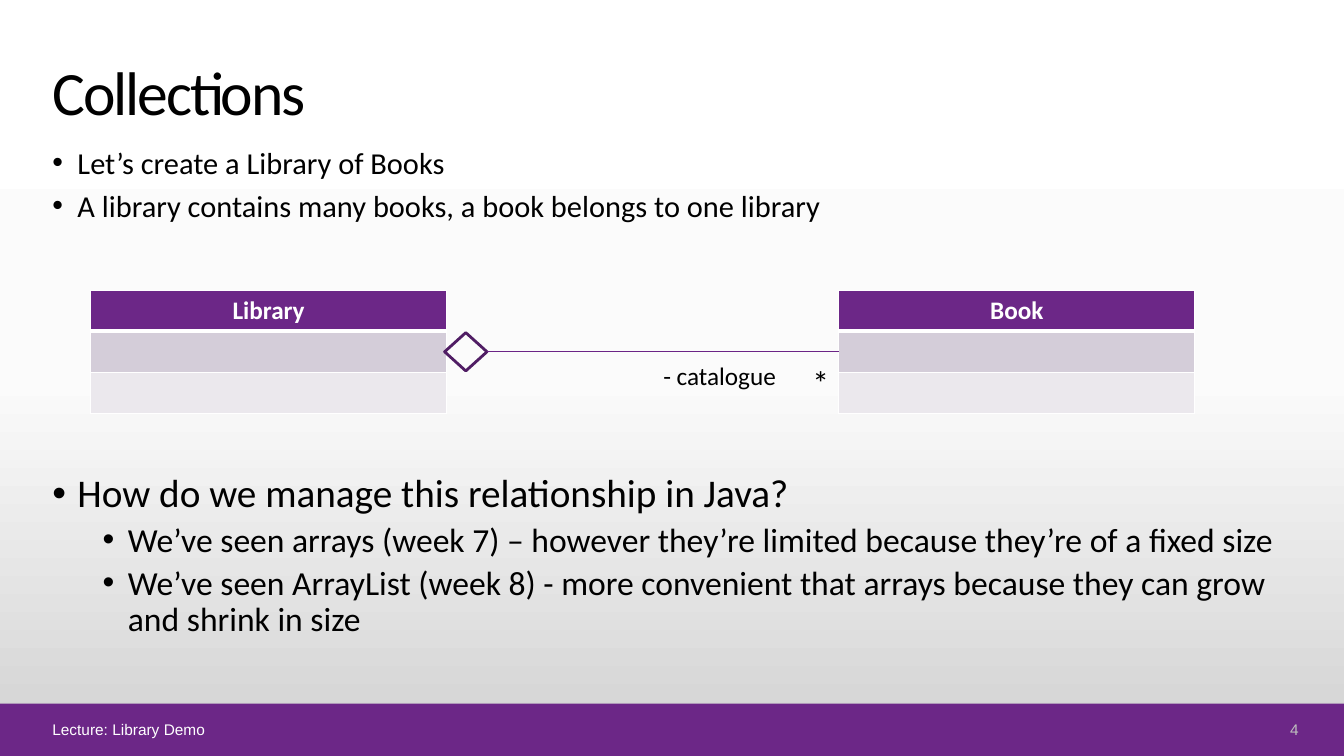
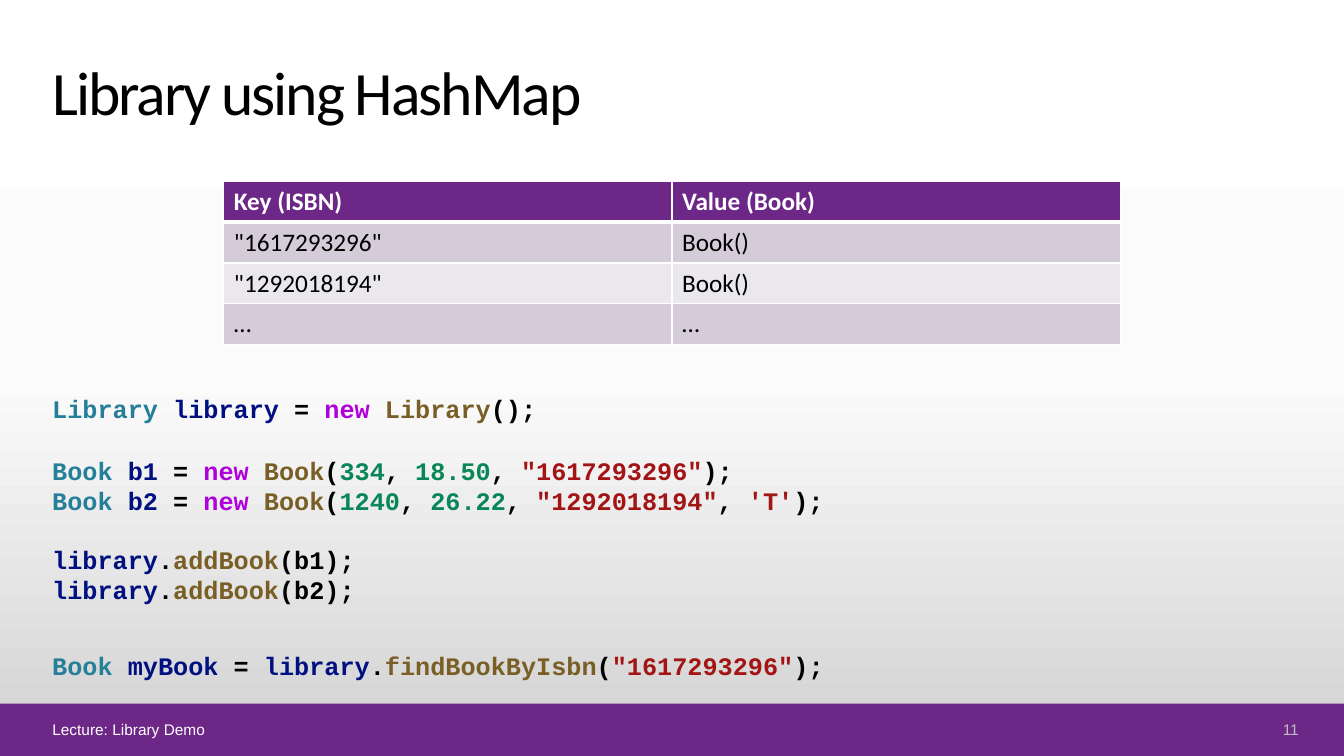
from copy import deepcopy
from dataclasses import dataclass
from typing import NamedTuple

from pptx import Presentation
from pptx import util as u
from pptx.dml.color import RGBColor
from pptx.enum import shapes, text
from pptx.oxml import ns, xmlchemy

# Shared look
PURPLE, DARK, LINE = "6C2787", "501D64", "6B2486"
BLACK, WHITE, GREY = "000000", "FFFFFF", "BFBFBF"
BANDS = ("D4CDD9", "EBE8ED")
FADE = ((0, "FFFFFF"), (0.5, "FBFBFB"), (1, "D1D1D1"))
SANS, FOOT, MONO = "Calibri", "Arial", "Courier New"
LEFT, WIDE = 0.42, 12.55

# Code colours
TYPE, VAR, NEW, CALL = "267F99", "001080", "AF00DB", "795E26"
NUM, STR = "098658", "A31515"


class Box(NamedTuple):
    x: float
    y: float
    w: float
    h: float

    def emu(self) -> list:
        return [u.Inches(v) for v in self]


class Bit(NamedTuple):
    text: str
    color: str = BLACK


@dataclass
class Item:
    text: str
    size: float
    lead: float = 0.9
    level: int = 0
    gap: float = 0


@dataclass
class Grid:
    box: Box
    rows: list
    align: text.PP_ALIGN = text.PP_ALIGN.LEFT


@dataclass
class Code:
    box: Box
    lines: list
    gap_at: int = 0  # line that follows a blank gap


def rgb(color: str) -> RGBColor:
    return RGBColor.from_string(color)


def style(run, size: float, color: str = BLACK, face: str = SANS,
          bold: bool = False) -> None:
    font = run.font
    font.size, font.name, font.bold = u.Pt(size), face, bold
    font.color.rgb = rgb(color)


def child(node, tag: str, **attrs):
    part = xmlchemy.OxmlElement(tag)
    for key, val in attrs.items():
        part.set(key, str(val))
    node.append(part)
    return part


def add_box(slide, box: Box, wrap: bool = True):
    frame = slide.shapes.add_textbox(*box.emu()).text_frame
    frame.word_wrap = wrap
    return frame


def add_label(slide, box: Box, words: str, size: float, color: str = BLACK,
              face: str = SANS, align=text.PP_ALIGN.LEFT,
              wrap: bool = False):
    frame = add_box(slide, box, wrap)
    frame.text = words
    para = frame.paragraphs[0]
    para.alignment = align
    style(para.runs[0], size, color, face)
    return frame


def add_list(slide, box: Box, items: list) -> None:
    frame = add_box(slide, box)
    for i, item in enumerate(items):
        para = frame.add_paragraph() if i else frame.paragraphs[0]
        para.text = item.text
        para.level = item.level
        para.line_spacing = item.lead
        para.space_before = u.Pt(item.gap)
        props = para._p.get_or_add_pPr()
        props.set("marL", str(u.Inches(0.25 + 0.5 * item.level)))
        props.set("indent", str(u.Inches(-0.25)))
        child(props, "a:buFont", typeface=FOOT)
        child(props, "a:buChar", char="•")
        style(para.runs[0], item.size)


def edge(cell, side: str, width: float) -> None:
    line = child(cell._tc.get_or_add_tcPr(), f"a:ln{side}", w=u.Pt(width))
    child(child(line, "a:solidFill"), "a:srgbClr", val=WHITE)


def add_grid(slide, grid: Grid) -> None:
    count = len(grid.rows), len(grid.rows[0])
    table = slide.shapes.add_table(*count, *grid.box.emu()).table
    for r, row in enumerate(grid.rows):
        for c, words in enumerate(row):
            cell = table.cell(r, c)
            for side in "LRTB":
                thick = (r, side) in ((0, "B"), (1, "T"))
                edge(cell, side, 3 if thick else 1)
            cell.fill.solid()
            cell.fill.fore_color.rgb = rgb(BANDS[(r - 1) % 2] if r else PURPLE)
            cell.text = words
            para = cell.text_frame.paragraphs[0]
            para.alignment = grid.align
            for run in para.runs:
                style(run, 18, BLACK if r else WHITE, bold=r == 0)


def add_code(slide, code: Code) -> None:
    frame = add_box(slide, code.box)
    for i, line in enumerate(code.lines):
        para = frame.add_paragraph() if i else frame.paragraphs[0]
        if i and i == code.gap_at:
            para.space_before = u.Pt(20.4)
        for bit in line:
            run = para.add_run()
            run.text = bit.text
            style(run, 18, bit.color, MONO, True)


def let(kind: str, var: str) -> list:
    return [Bit(kind + " ", TYPE), Bit(var, VAR), Bit(" = ")]


def make(kind: str, var: str, *args: Bit) -> list:
    line = let(kind, var) + [Bit("new ", NEW), Bit(kind, CALL), Bit("(")]
    for i, arg in enumerate(args):
        line += [Bit(", "), arg] if i else [arg]
    return line + [Bit(");")]


def call(name: str, arg: Bit) -> list:
    return [Bit("library", VAR), Bit("."), Bit(name, CALL),
            Bit("("), arg, Bit(");")]


def set_back(master) -> None:
    fill = master.background.fill
    fill.gradient()
    fill.gradient_angle = 270
    stops = master.element.find(".//" + ns.qn("a:gsLst"))
    stops.append(deepcopy(stops[0]))
    for stop, (pos, color) in zip(fill.gradient_stops, FADE):
        stop.position = pos
        stop.color.rgb = rgb(color)


def add_slide(deck, title: str, number: int):
    slide = deck.slides.add_slide(deck.slide_layouts[5])
    # Bottom band
    band = slide.shapes.add_shape(shapes.MSO_SHAPE.RECTANGLE,
                                  *Box(0, 6.98, 13.33, 0.52).emu())
    band.shadow.inherit = False
    band.fill.solid()
    band.fill.fore_color.rgb = rgb(PURPLE)
    band.line.fill.background()
    # Title
    head = slide.shapes.title
    head.left, head.top, head.width, head.height = Box(
        LEFT, 0.4, 10.4, 0.87).emu()
    frame = head.text_frame
    frame.text = title
    frame.auto_size = text.MSO_AUTO_SIZE.NONE
    frame.vertical_anchor = text.MSO_ANCHOR.BOTTOM
    frame.margin_bottom = 0
    para = frame.paragraphs[0]
    para.alignment = text.PP_ALIGN.LEFT
    style(para.runs[0], 44)
    para.runs[0].font._element.set("spc", "-150")
    # Footer and number
    for box, words, color, align in (
            (Box(LEFT, 7.12, 11.65, 0.23), "Lecture: Library Demo", WHITE,
             text.PP_ALIGN.LEFT),
            (Box(12.23, 7.12, 0.75, 0.23), str(number), GREY,
             text.PP_ALIGN.RIGHT)):
        foot = add_label(slide, box, words, 11, color, FOOT, align, True)
        foot.vertical_anchor = text.MSO_ANCHOR.MIDDLE
    return slide


def add_link(slide) -> None:
    gem = slide.shapes.add_shape(shapes.MSO_SHAPE.DIAMOND,
                                 *Box(4.41, 3.3, 0.42, 0.38).emu())
    gem.shadow.inherit = False
    gem.fill.background()
    gem.line.color.rgb = rgb(DARK)
    gem.line.width = u.Pt(2)
    y = u.Inches(3.49)
    link = slide.shapes.add_connector(shapes.MSO_CONNECTOR.STRAIGHT,
                                      u.Inches(4.83), y, u.Inches(8.32), y)
    link.begin_connect(gem, 3)
    link.line.color.rgb = rgb(LINE)
    link.line.width = u.Pt(0.75)
    child(link._element.spPr, "a:effectLst")


def draw_classes(deck) -> None:
    slide = add_slide(deck, "Collections", 4)
    add_list(slide, Box(LEFT, 1.45, WIDE, 0.87), [
        Item("Let’s create a Library of Books", 21.7, 0.8),
        Item("A library contains many books, a book belongs to one library",
             21.7, 0.8, gap=10)])
    # Class diagram
    for x, name in ((0.9, "Library"), (8.32, "Book")):
        add_grid(slide, Grid(Box(x, 2.88, 3.53, 1.22), [[name], [""], [""]],
                             text.PP_ALIGN.CENTER))
    add_link(slide)
    add_label(slide, Box(7.96, 3.54, 0.33, 0.5), "*", 24)
    add_label(slide, Box(6.48, 3.53, 1.45, 0.4), "- catalogue", 18)
    # Question
    add_list(slide, Box(LEFT, 4.65, WIDE, 2.19), [
        Item("How do we manage this relationship in Java?", 28),
        Item("We’ve seen arrays (week 7) – however they’re limited because "
             "they’re of a fixed size", 24, level=1, gap=5),
        Item("We’ve seen ArrayList (week 8) - more convenient that arrays "
             "because they can grow and shrink in size", 24, level=1, gap=5)])


def draw_map(deck) -> None:
    slide = add_slide(deck, "Library using HashMap", 11)
    one, two = '"1617293296"', '"1292018194"'
    add_grid(slide, Grid(Box(2.22, 1.8, 8.89, 1.62), [
        ["Key (ISBN)", "Value (Book)"],
        [one, "Book()"], [two, "Book()"], ["…", "…"]]))
    # Java code
    for code in (
            Code(Box(LEFT, 3.85, 6.67, 0.4), [make("Library", "library")]),
            Code(Box(LEFT, 4.47, 8.73, 1.62), [
                make("Book", "b1", Bit("334", NUM), Bit("18.50", NUM),
                     Bit(one, STR)),
                make("Book", "b2", Bit("1240", NUM), Bit("26.22", NUM),
                     Bit(two, STR), Bit("'T'", STR)),
                call("addBook", Bit("b1")),
                call("addBook", Bit("b2"))], gap_at=2),
            Code(Box(LEFT, 6.4, 9.53, 0.4), [
                let("Book", "myBook")
                + call("findBookByIsbn", Bit(one, STR))])):
        add_code(slide, code)


def main() -> None:
    deck = Presentation()
    deck.slide_width, deck.slide_height = u.Inches(13.33), u.Inches(7.5)
    set_back(deck.slide_master)
    draw_classes(deck)
    draw_map(deck)
    deck.save("out.pptx")


if __name__ == "__main__":
    main()
